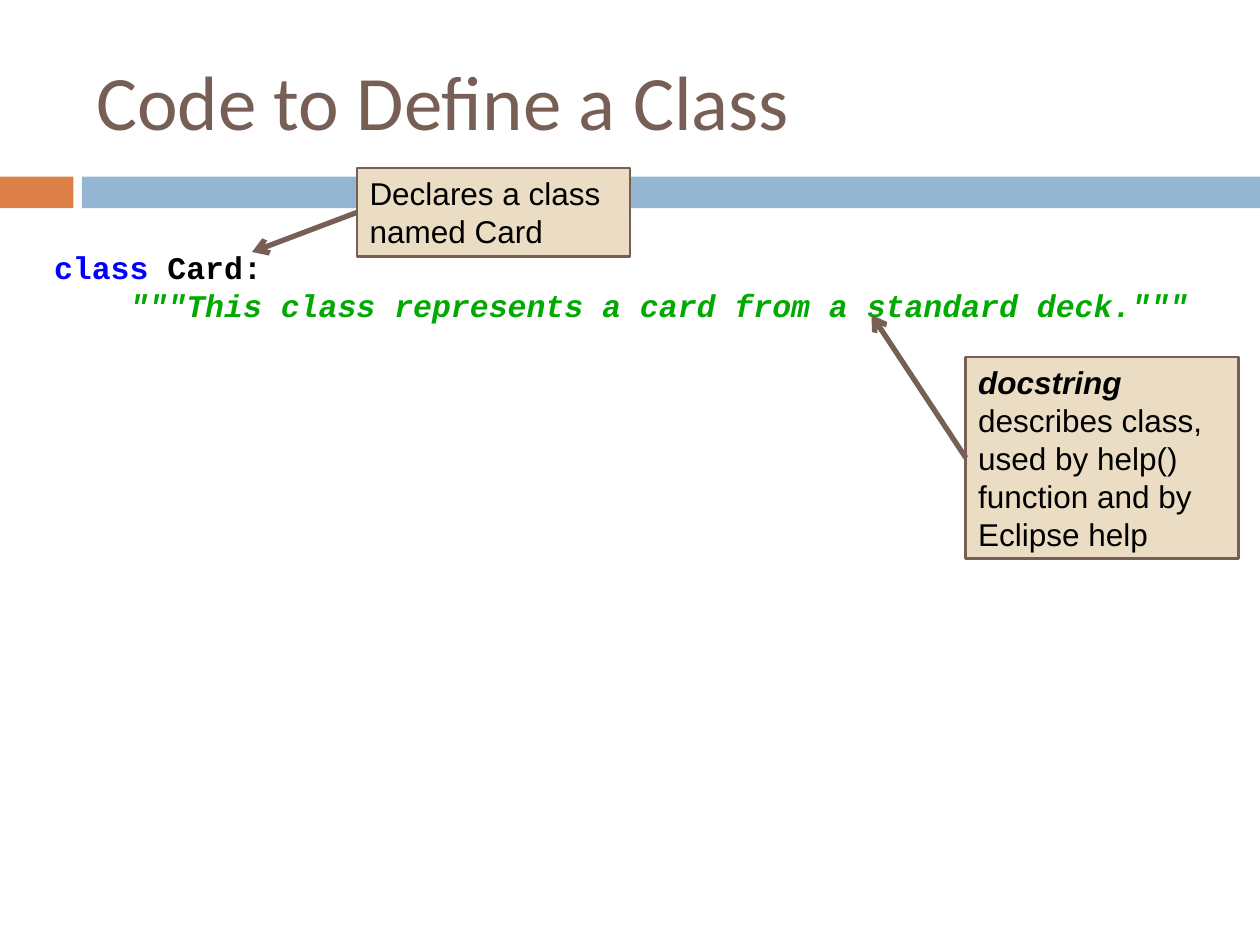
from dataclasses import dataclass
from lxml.etree import SubElement
from pptx import Presentation
from pptx.dml.color import RGBColor
from pptx.enum.shapes import MSO_CONNECTOR, MSO_SHAPE
from pptx.enum.text import MSO_ANCHOR, PP_ALIGN
from pptx.oxml.ns import qn
from pptx.slide import Slide
from pptx.util import Cm, Pt


def color(value):
    return RGBColor.from_string(value)


@dataclass
class Deck:
    slide: Slide
    brown: str = "775F55"
    sand: str = "EBDDC3"
    black: str = "000000"
    size: int = 18

    def bar(self, x, y, w, h, fill):
        s = self.slide.shapes.add_shape(MSO_SHAPE.RECTANGLE, Cm(x), Cm(y), Cm(w), Cm(h))
        s.shadow.inherit = False
        s.fill.solid()
        s.fill.fore_color.rgb = color(fill)
        s.line.fill.background()
        return s

    def textbox(self, x, y, w, h, anchor=MSO_ANCHOR.TOP):
        tf = self.slide.shapes.add_textbox(Cm(x), Cm(y), Cm(w), Cm(h)).text_frame
        tf.word_wrap = True
        tf.vertical_anchor = anchor
        return tf

    def title(self, text, x, y, w, h):
        p = self.textbox(x, y, w, h, MSO_ANCHOR.MIDDLE).paragraphs[0]
        p.text = text
        self.font(p, "Calibri", 44, self.brown)

    def font(self, p, name, size, hue):
        p.font.name = name
        p.font.size = Pt(size)
        p.font.color.rgb = color(hue)

    def code(self, lines, x, y, w, h):
        tf = self.textbox(x, y, w, h)
        for i, line in enumerate(lines):
            p = tf.add_paragraph() if i else tf.paragraphs[0]
            self.font(p, "Courier New", self.size, self.black)
            p.font.bold = True
            for text, hue, italic in line:
                r = p.add_run()
                r.text = text
                r.font.color.rgb = color(hue)
                r.font.italic = italic

    def callout(self, text, x, y, w, h, target, term=""):
        s = self.bar(x, y, w, h, self.sand)
        s.line.color.rgb = color(self.brown)
        s.line.width = Pt(1.5)
        tf = s.text_frame
        tf.word_wrap = True
        tf.vertical_anchor = MSO_ANCHOR.TOP
        p = tf.paragraphs[0]
        p.alignment = PP_ALIGN.LEFT
        self.font(p, "Arial", self.size, self.black)
        if term:
            r = p.add_run()
            r.text = term
            r.font.bold = r.font.italic = True
        p.add_run().text = text
        self.arrow((x, y + h / 2), target)

    def arrow(self, start, end):
        s = self.slide.shapes.add_connector(
            MSO_CONNECTOR.STRAIGHT, *map(Cm, start), *map(Cm, end))
        s.line.color.rgb = color(self.brown)
        s.line.width = Pt(3)
        SubElement(s.line._get_or_add_ln(), qn("a:tailEnd"), type="arrow")
        SubElement(s._element.spPr, qn("a:effectLst"))


def main():
    prs = Presentation()
    prs.slide_width, prs.slide_height = Cm(25.4), Cm(19.05)
    deck = Deck(prs.slides.add_slide(prs.slide_layouts[6]))

    deck.bar(0, 3.56, 1.48, 0.64, "DD8047")
    deck.bar(1.65, 3.56, 23.75, 0.64, "94B6D2")
    deck.code([
        [("class ", "0000FF", False), ("Card:", deck.black, False)],
        [('    """This class represents a card from a standard deck."""', "00AA00", True)],
    ], 0.84, 4.88, 23.5, 1.78)
    deck.title("Code to Define a Class", 1.69, 0.64, 22.66, 2.74)
    deck.callout("Declares a class named Card", 7.2, 3.39, 5.5, 1.78, (5.08, 5.08))
    deck.callout(" describes class, used by help() function and by Eclipse help",
                 19.47, 7.2, 5.5, 4.06, (17.57, 6.35), term="docstring")
    prs.save("out.pptx")


if __name__ == "__main__":
    main()
